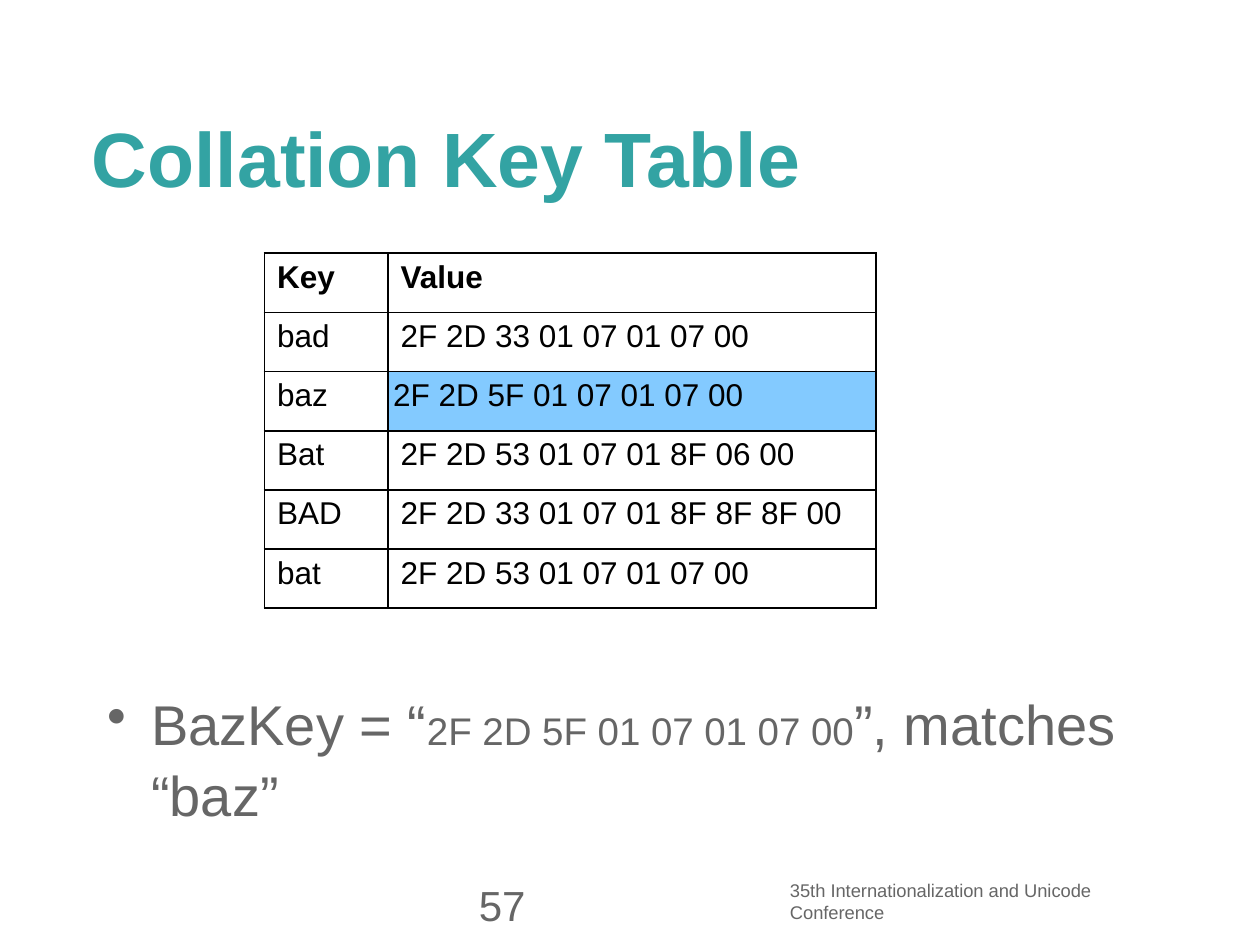
from dataclasses import dataclass

from lxml.etree import SubElement
from pptx import Presentation
from pptx.dml.color import RGBColor as Color
from pptx.enum.text import MSO_ANCHOR as Anchor
from pptx.oxml import parse_xml
from pptx.oxml.ns import nsdecls, qn
from pptx.util import Inches, Pt

TITLE = "Collation Key Table"
HEADER = ("Key", "Value")
ENTRIES = [
    ("bad", "2F 2D 33 01 07 01 07 00"),
    ("baz", "2F 2D 5F 01 07 01 07 00"),
    ("Bat", "2F 2D 53 01 07 01 8F 06 00"),
    ("BAD", "2F 2D 33 01 07 01 8F 8F 8F 00"),
    ("bat", "2F 2D 53 01 07 01 07 00"),
]
MATCHED_KEY = "baz"
FOOTER = "35th Internationalization and Unicode Conference"
PAGE_NUMBER = "57"

COLUMN_WIDTHS = (0.98, 3.87)
ROW_HEIGHT = 0.47


@dataclass(frozen=True)
class Theme:
    font: str = "Arial"
    title: str = "33A3A3"
    body: str = "666666"
    table: str = "000000"
    match: str = "83CAFF"
    title_size: float = 44
    body_size: float = 32
    key_size: float = 22
    table_size: float = 18
    footer_size: float = 10.5
    number_size: float = 24
    border: float = 1.13


THEME = Theme()

MATCH_RUNS = [
    ("BazKey = “", THEME.body_size),
    (dict(ENTRIES)[MATCHED_KEY], THEME.key_size),
    (f"”, matches “{MATCHED_KEY}”", THEME.body_size),
]


def set_font(font, size, color, bold=False):
    font.name = THEME.font
    font.size = Pt(size)
    font.bold = bold
    font.color.rgb = Color.from_string(color)


def add_text_box(slide, left, top, width, height, anchor=Anchor.TOP):
    """Add a wrapping box without margins and return its first paragraph."""
    box = slide.shapes.add_textbox(*map(Inches, (left, top, width, height)))
    frame = box.text_frame
    frame.word_wrap = True
    frame.vertical_anchor = anchor
    frame.margin_left = frame.margin_right = 0
    frame.margin_top = frame.margin_bottom = 0
    return frame.paragraphs[0]


def add_line(slide, text, place, size, color, bold=False, anchor=Anchor.TOP):
    paragraph = add_text_box(slide, *place, anchor=anchor)
    paragraph.text = text
    set_font(paragraph.font, size, color, bold)


def add_match_bullet(slide):
    paragraph = add_text_box(slide, 0.73, 5.45, 8.54, 1.1)
    properties = paragraph._p.get_or_add_pPr()
    properties.set("marL", str(Inches(0.47)))
    properties.set("indent", str(Inches(-0.35)))
    SubElement(properties, qn("a:buChar"), char="•")
    paragraph.line_spacing = 1.05
    set_font(paragraph.font, THEME.body_size, THEME.body)
    for text, size in MATCH_RUNS:
        run = paragraph.add_run()
        run.text = text
        set_font(run.font, size, THEME.body)


def set_borders(cell):
    properties = cell._tc.get_or_add_tcPr()
    for position, side in enumerate("LRTB"):
        properties.insert(position, parse_xml(
            f'<a:ln{side} {nsdecls("a")} w="{Pt(THEME.border)}"><a:solidFill>'
            f'<a:srgbClr val="{THEME.table}"/></a:solidFill></a:ln{side}>'))


def fill_cell(cell, text, bold, matched):
    cell.text = text
    cell.margin_left = cell.margin_right = Inches(0.04 if matched else 0.1)
    cell.margin_top = cell.margin_bottom = Inches(0.05)
    set_font(cell.text_frame.paragraphs[0].font,
             THEME.table_size, THEME.table, bold)
    if matched:
        cell.fill.solid()
        cell.fill.fore_color.rgb = Color.from_string(THEME.match)
    else:
        cell.fill.background()
    set_borders(cell)


def add_key_table(slide):
    rows = [HEADER, *ENTRIES]
    table = slide.shapes.add_table(
        len(rows), len(HEADER), Inches(2.1), Inches(2.01),
        Inches(sum(COLUMN_WIDTHS)), Inches(ROW_HEIGHT * len(rows))).table
    for column, width in zip(table.columns, COLUMN_WIDTHS):
        column.width = Inches(width)
    for row_index, values in enumerate(rows):
        table.rows[row_index].height = Inches(ROW_HEIGHT)
        for column_index, text in enumerate(values):
            matched = values[0] == MATCHED_KEY and column_index == 1
            fill_cell(table.cell(row_index, column_index), text,
                      row_index == 0, matched)


def main():
    presentation = Presentation()
    presentation.slide_width = Inches(10)
    presentation.slide_height = Inches(7.5)
    slide = presentation.slides.add_slide(presentation.slide_layouts[6])
    add_line(slide, TITLE, (0.73, 0.62, 8.54, 1.25), THEME.title_size,
             THEME.title, bold=True, anchor=Anchor.MIDDLE)
    add_match_bullet(slide)
    add_key_table(slide)
    add_line(slide, FOOTER, (6.27, 6.98, 3, 0.36),
             THEME.footer_size, THEME.body)
    add_line(slide, PAGE_NUMBER, (3.8, 6.98, 2.4, 0.37),
             THEME.number_size, THEME.body)
    presentation.save("out.pptx")


if __name__ == "__main__":
    main()
